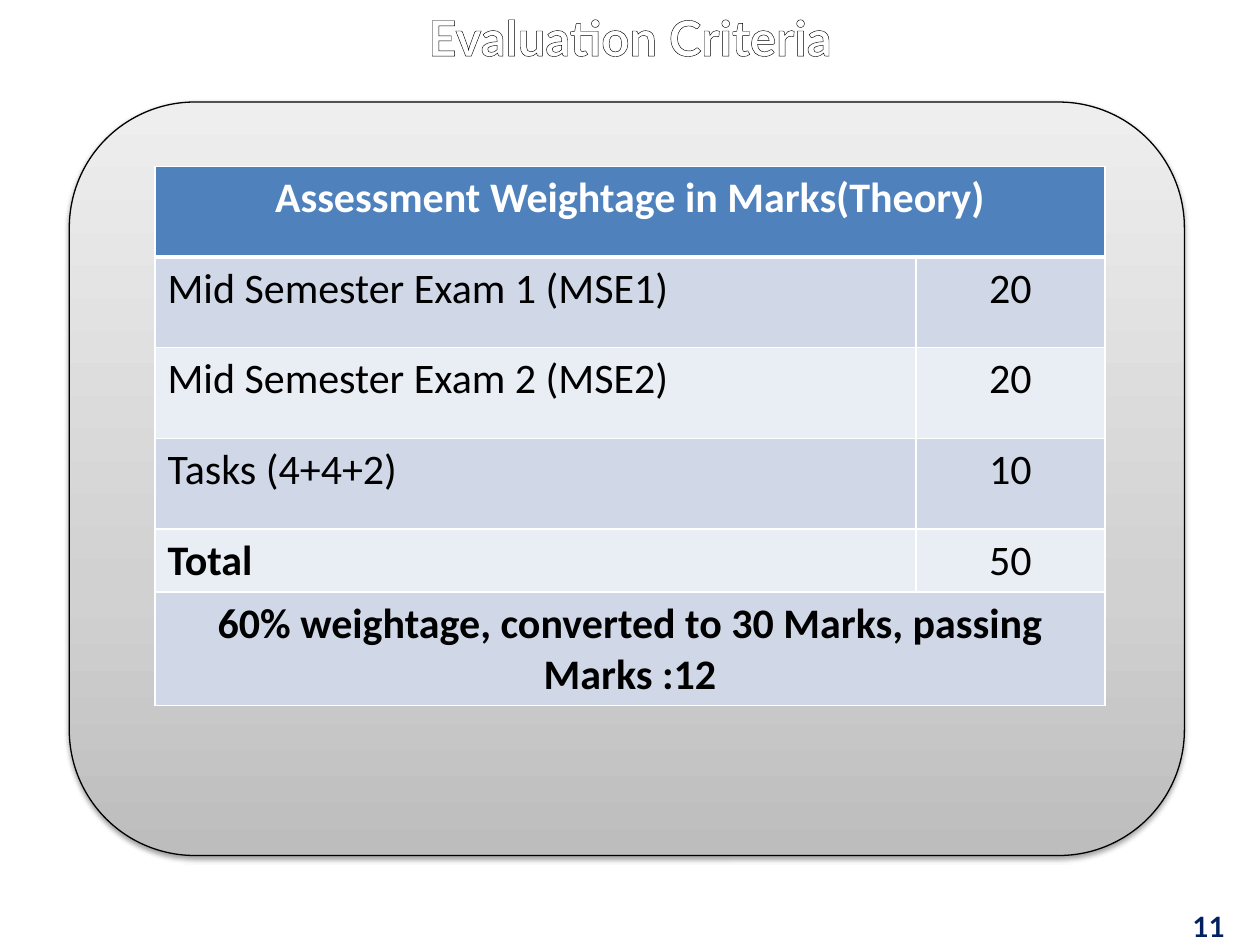
from dataclasses import dataclass
from typing import NamedTuple

from pptx import Presentation
from pptx import util as u
from pptx.dml.color import RGBColor
from pptx.enum import shapes, text
from pptx.oxml import parse_xml
from pptx.oxml.ns import nsdecls

COLS, ROWS = 100, 75
LEFT, CENTER, RIGHT = text.PP_ALIGN.LEFT, text.PP_ALIGN.CENTER, text.PP_ALIGN.RIGHT


@dataclass(frozen=True)
class Theme:
    heading_font: str = "Lato"
    table_font: str = "Calibri"
    title_size: int = 28
    table_size: int = 24
    number_size: int = 16
    white: str = "FFFFFF"
    black: str = "000000"
    navy: str = "002060"
    header: str = "4F81BD"
    bands: tuple = ("E9EDF4", "D0D8E8")
    panel: tuple = ((0, "BDBDBD"), (35, "D1D1D1"), (100, "EEEEEE"))


class Box(NamedTuple):
    x: float
    y: float
    w: float
    h: float


class Style(NamedTuple):
    font: str
    size: int
    color: str
    bold: bool = False


class Row(NamedTuple):
    label: str
    marks: str = ""
    height: float = 7.2
    bold: bool = False


THEME = Theme()
ASSESSMENTS = [
    Row("Assessment Weightage in Marks(Theory)", bold=True),
    Row("Mid Semester Exam 1 (MSE1)", "20"),
    Row("Mid Semester Exam 2 (MSE2)", "20"),
    Row("Tasks (4+4+2)", "10"),
    Row("Total", "50", 5, True),
    Row("60% weightage, converted to 30 Marks, passing Marks :12", height=8.7, bold=True),
]

prs = Presentation()
prs.slide_width, prs.slide_height = u.Inches(10), u.Inches(7.5)


def across(n: float) -> int:
    return round(prs.slide_width * n / COLS)


def down(n: float) -> int:
    return round(prs.slide_height * n / ROWS)


def place(box: Box) -> tuple:
    return across(box.x), down(box.y), across(box.w), down(box.h)


def line_xml(tag: str, color: str, width: float):
    return parse_xml(
        f'<a:{tag} {nsdecls("a")} w="{u.Pt(width)}"><a:solidFill>'
        f'<a:srgbClr val="{color}"/></a:solidFill></a:{tag}>'
    )


def write(tf, words: str, style: Style, align):
    p = tf.paragraphs[0]
    p.alignment = align
    r = p.add_run()
    r.text = words
    r.font.name, r.font.size, r.font.bold = style.font, u.Pt(style.size), style.bold
    r.font.color.rgb = RGBColor.from_string(style.color)
    return r


def add_label(slide, box: Box, words: str, style: Style, align, anchor):
    tf = slide.shapes.add_textbox(*place(box)).text_frame
    tf.word_wrap = True
    tf.vertical_anchor = anchor
    return write(tf, words, style, align)


def add_panel(slide, box: Box) -> None:
    sp = slide.shapes.add_shape(shapes.MSO_SHAPE.ROUNDED_RECTANGLE, *place(box))
    sp.line.color.rgb = RGBColor.from_string(THEME.black)
    sp.line.width = u.Pt(0.75)
    stops = "".join(
        f'<a:gs pos="{pos * 1000}"><a:srgbClr val="{color}"/></a:gs>'
        for pos, color in THEME.panel
    )
    sp.fill.background()
    fill = sp._element.spPr.find("{*}noFill")
    fill.getparent().replace(fill, parse_xml(
        f'<a:gradFill {nsdecls("a")} rotWithShape="1"><a:gsLst>{stops}</a:gsLst>'
        f'<a:lin ang="{270 * 60000}" scaled="0"/></a:gradFill>'
    ))
    sp.shadow.inherit = False
    sp._element.spPr.find("{*}effectLst").append(parse_xml(
        f'<a:outerShdw {nsdecls("a")} blurRad="{u.Pt(3.1)}" dist="{u.Pt(1.6)}" '
        f'dir="{90 * 60000}" rotWithShape="0"><a:srgbClr val="{THEME.black}">'
        '<a:alpha val="38000"/></a:srgbClr></a:outerShdw>'
    ))


def paint_cell(cell, color: str, top: float, bottom: float) -> None:
    tc_pr = cell._tc.get_or_add_tcPr()
    for tag, width in (("lnL", 1), ("lnR", 1), ("lnT", top), ("lnB", bottom)):
        tc_pr.append(line_xml(tag, THEME.white, width))
    cell.fill.solid()
    cell.fill.fore_color.rgb = RGBColor.from_string(color)


def add_assessments(slide, x: float, y: float, widths: tuple, rows: list) -> None:
    box = Box(x, y, sum(widths), sum(row.height for row in rows))
    table = slide.shapes.add_table(len(rows), len(widths), *place(box)).table
    for column, width in zip(table.columns, widths):
        column.width = across(width)
    for i, row in enumerate(rows):
        table.rows[i].height = down(row.height)
        label, marks = table.cell(i, 0), table.cell(i, 1)
        color = THEME.bands[i % 2] if i else THEME.header
        for cell in (label, marks):
            paint_cell(cell, color, 3 if i == 1 else 1, 1 if i else 3)
        ink = THEME.black if i else THEME.white
        style = Style(THEME.table_font, THEME.table_size, ink, row.bold)
        write(label.text_frame, row.label, style, LEFT if row.marks else CENTER)
        if row.marks:
            write(marks.text_frame, row.marks, style._replace(bold=False), CENTER)
        else:
            label.merge(marks)


def main() -> None:
    slide = prs.slides.add_slide(prs.slide_layouts[6])
    title = add_label(
        slide, Box(0, 0, COLS, 5.8), "Evaluation Criteria",
        Style(THEME.heading_font, THEME.title_size, THEME.white, True),
        CENTER, text.MSO_ANCHOR.MIDDLE,
    )
    title.font._element.insert(0, line_xml("ln", THEME.black, 0.75))
    add_label(
        slide, Box(81.4, 71.7, 16.8, 3.7), "11",
        Style(THEME.heading_font, THEME.number_size, THEME.navy, True),
        RIGHT, text.MSO_ANCHOR.TOP,
    )
    add_panel(slide, Box(5.5, 8.1, 88.5, 59.8))
    add_assessments(slide, 12.3, 13.2, (60.4, 15), ASSESSMENTS)
    prs.save("out.pptx")


if __name__ == "__main__":
    main()
